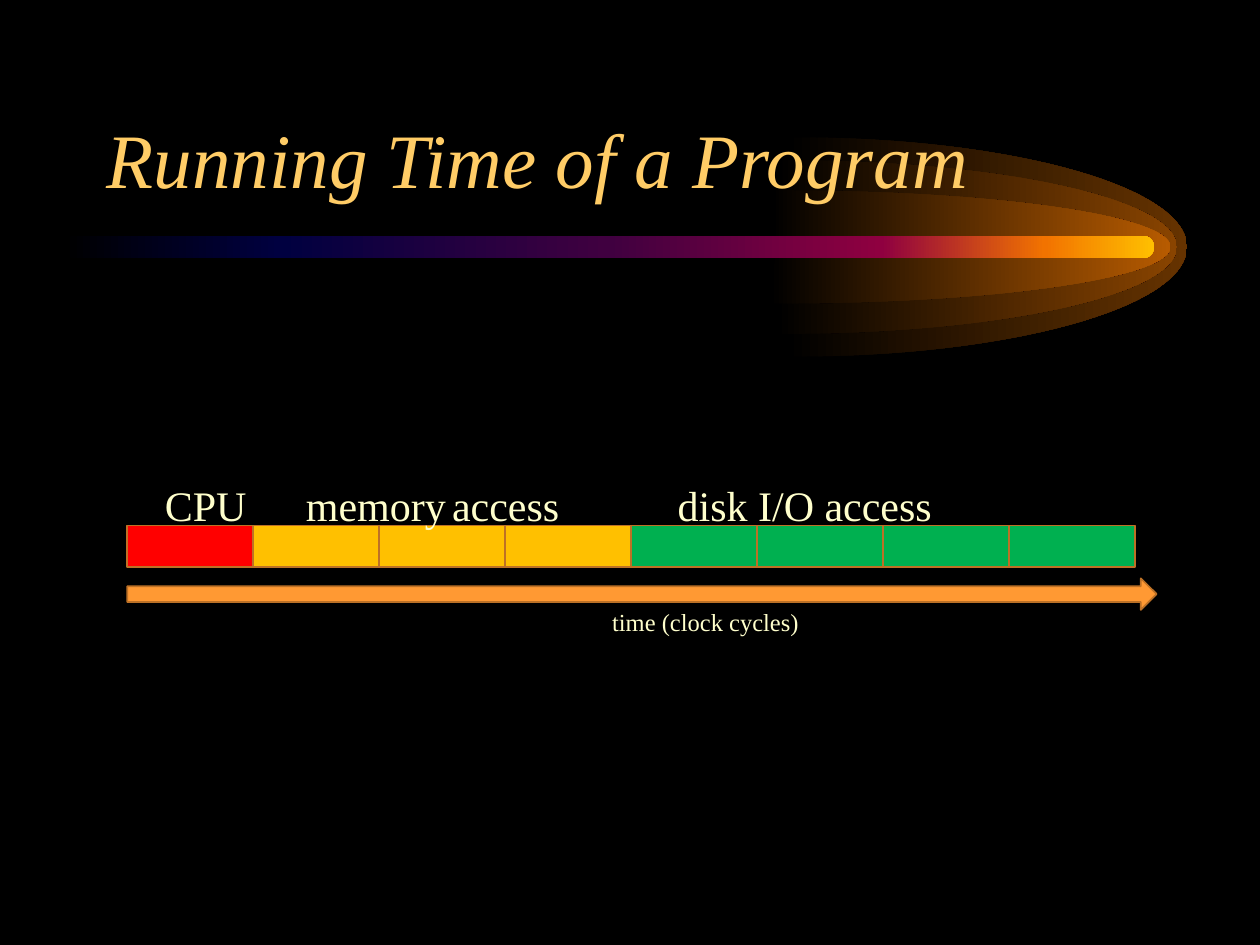
from lxml.etree import SubElement
from pptx import Presentation
from pptx.dml.color import RGBColor
from pptx.enum.shapes import MSO_SHAPE
from pptx.enum.text import MSO_ANCHOR
from pptx.oxml.ns import qn
from pptx.util import Inches, Pt

COLORS = {
    "black": "000000", "title": "FFCC66", "label": "FFFFCC",
    "edge": "BD7126", "arrow": "FF9933",
    "cpu": "FF0000", "memory": "FFC000", "disk": "00B050",
    "outer": "663300", "middle": "894400", "inner": "B75B00",
    "navy": "000040", "plum": "400040", "crimson": "8F0040",
    "orange": "F27300", "gold": "FFBF00",
}


class SlideBuilder:
    """Draw styled elements on one slide, with lengths in one-inch grid units."""

    font = "Times New Roman"

    def __init__(self, deck):
        self.slide = deck.slides.add_slide(deck.slide_layouts[6])
        self.shapes = self.slide.shapes
        background = self.slide.background.fill
        background.solid()
        background.fore_color.rgb = self.color("black")

    def color(self, name):
        return RGBColor.from_string(COLORS[name])

    def fade(self, shape, stops):
        shape.shadow.inherit = False
        shape.line.fill.background()
        shape.fill.gradient()
        shape.fill.gradient_angle = 0
        stop_list = shape._element.spPr.find(".//" + qn("a:gsLst"))
        for stop in list(stop_list):
            stop_list.remove(stop)
        for share, name in stops:
            stop = SubElement(stop_list, qn("a:gs"), pos=str(share * 1000))
            SubElement(stop, qn("a:srgbClr"), val=COLORS[name])

    def glow(self, center, middle, reach, half_height, name):
        bend = 0.55
        top, bottom = middle - half_height, middle + half_height
        right, shoulder = center + reach, center + bend * reach
        rise = bend * half_height
        points = [
            (shoulder, top), (right, middle - rise), (right, middle),
            (right, middle + rise), (shoulder, bottom), (center, bottom),
            (center - 0.05, bottom), (center, middle)]
        outline = self.shapes.build_freeform(Inches(center), Inches(top))
        outline.add_line_segments(
            [(Inches(x), Inches(y)) for x, y in points], close=True)
        shape = outline.convert_to_shape()
        lines = list(shape._element.iter(qn("a:lnTo")))
        for first in (0, 3):
            curve = lines[first].makeelement(qn("a:cubicBezTo"))
            lines[first].addprevious(curve)
            for line in lines[first:first + 3]:
                curve.append(line[0])
                line.getparent().remove(line)
        self.fade(shape, [(0, "black"), (100, name)])

    def beam(self, left, top, width, height, stops):
        shape = self.shapes.add_shape(
            MSO_SHAPE.ROUNDED_RECTANGLE, *map(Inches, (left, top, width, height)))
        shape.adjustments[0] = 0.5
        self.fade(shape, stops)

    def block(self, kind, left, top, width, height, name):
        shape = self.shapes.add_shape(kind, *map(Inches, (left, top, width, height)))
        shape.shadow.inherit = False
        shape.fill.solid()
        shape.fill.fore_color.rgb = self.color(name)
        shape.line.color.rgb = self.color("edge")
        shape.line.width = Pt(1)

    def text(self, left, top, width, height, runs, name="label",
             wrap=False, anchor=MSO_ANCHOR.TOP, italic=False):
        box = self.shapes.add_textbox(*map(Inches, (left, top, width, height)))
        frame = box.text_frame
        frame.word_wrap = wrap
        frame.vertical_anchor = anchor
        para = frame.paragraphs[0]
        for words, size in runs:
            span = para.add_run()
            span.text = words
            span.font.name = self.font
            span.font.size = Pt(size)
            span.font.italic = italic
            span.font.color.rgb = self.color(name)


deck = Presentation()
deck.slide_width, deck.slide_height = Inches(10), Inches(7.5)
page = SlideBuilder(deck)

for center, half_height, name in [
        (6.29, 0.87, "outer"), (6.21, 0.69, "middle"), (6.16, 0.45, "inner")]:
    page.glow(center, 1.96, 3.13, half_height, name)
page.beam(0.5, 1.87, 8.66, 0.18, [
    (0, "black"), (20, "navy"), (50, "plum"),
    (75, "crimson"), (90, "orange"), (100, "gold")])
page.text(0.75, 0.42, 8.5, 1.25, [("Running Time of a Program", 44)],
          name="title", wrap=True, anchor=MSO_ANCHOR.BOTTOM, italic=True)

bar_left = 1.01
page.block(MSO_SHAPE.RIGHT_ARROW, bar_left, 4.59, 8.17, 0.25, "arrow")
cycles = ["cpu"] + ["memory"] * 3 + ["disk"] * 4
for column, name in enumerate(cycles):
    page.block(MSO_SHAPE.RECTANGLE, bar_left + column, 4.17, 1, 0.33, name)

for left, top, width, height, runs in [
        (4.76, 4.77, 2.07, 0.4, [("time (clock cycles)", 14)]),
        (1.21, 3.76, 0.86, 0.5, [("CPU", 24)]),
        (2.33, 3.76, 2.23, 0.5, [("memory", 24), (" ", 14), ("access", 24)]),
        (5.28, 3.76, 2.24, 0.5, [("disk I/O access", 24)])]:
    page.text(left, top, width, height, runs)

deck.save("out.pptx")
